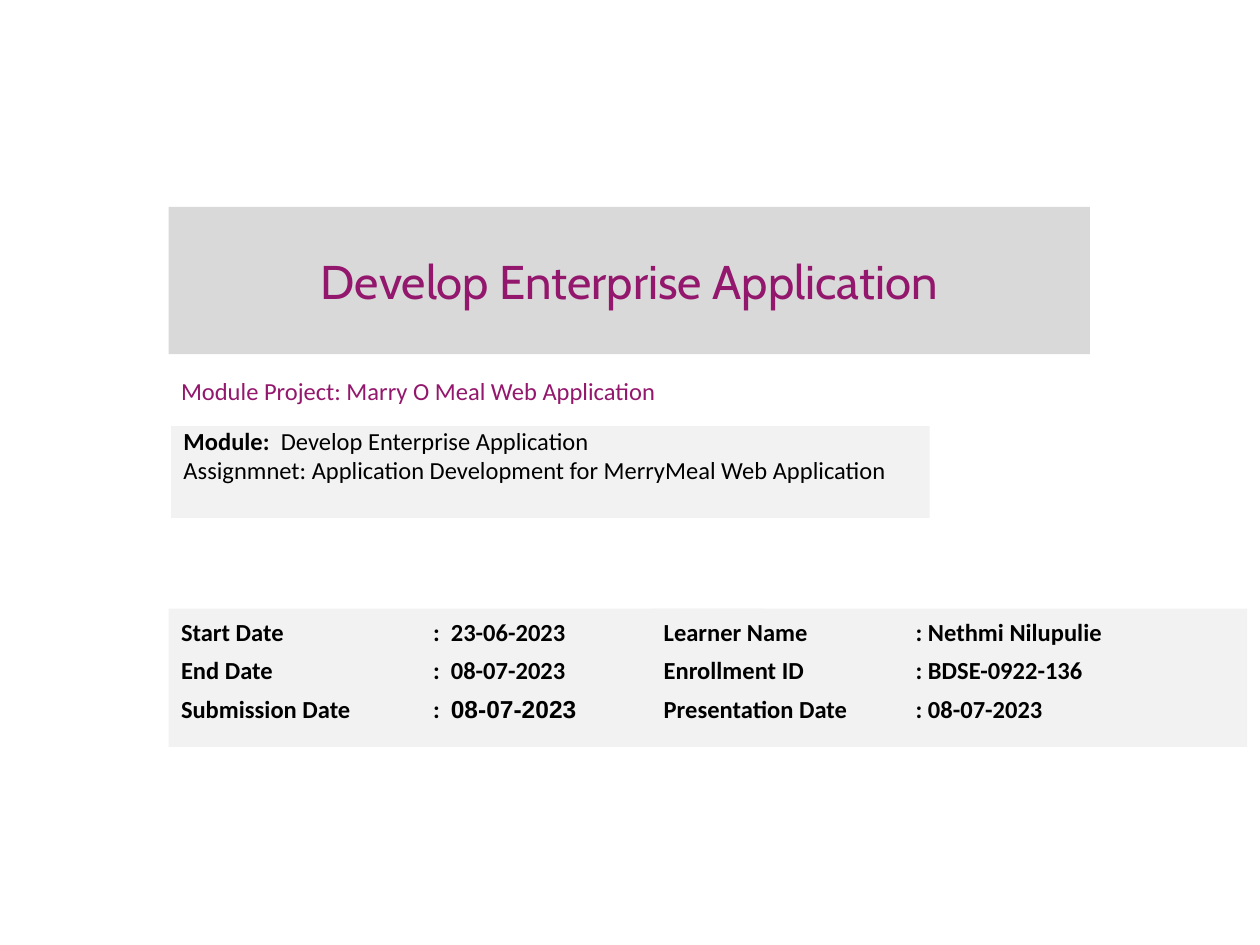
from lxml.etree import SubElement
from pptx import Presentation
from pptx.dml.color import RGBColor
from pptx.enum.shapes import MSO_SHAPE as SHAPE
from pptx.enum.text import MSO_ANCHOR as ANCHOR, PP_ALIGN as ALIGN
from pptx.oxml.ns import qn
from pptx.util import Cm, Pt

PURPLE, BLACK, BAND, PANEL = "93176C", "000000", "D9D9D9", "F2F2F2"
TITLE = "Develop Enterprise Application"
PROJECT = "Module Project: Marry O Meal Web Application"
MODULE = [
    [("Module: ", True, "Calibri"), (" Develop Enterprise Application", False, "Calibri")],
    [("Assignmnet: Application Development for MerryMeal Web Application", False, "Calibri")],
]
DATES = [
    [("Start Date\t:\t23-06-2023", True, "Calibri")],
    [("End Date\t:\t08-07-2023", True, "Calibri")],
    [("Submission Date\t:\t", True, "Calibri"), ("08-07-2023", True, "Arial")],
]
LEARNER = [
    [("Learner Name\t: Nethmi Nilupulie", True, "Calibri")],
    [("Enrollment ID\t: BDSE-0922-136", True, "Calibri")],
    [("Presentation Date\t: 08-07-2023", True, "Calibri")],
]
LEFT = 3.4
PANELS = [
    (MODULE, (3.45, 8.59, 15.29, 1.85), 13.5, 1.5, ()),
    (DATES, (LEFT, 12.27, 12.01, 2.79), 18, 2, (5.08, 5.44)),
    (LEARNER, (13.13, 12.27, 12.01, 2.79), 18, 2, (5.08,)),
]


def rgb(code):
    return RGBColor.from_string(code)


def fill(shape, code):
    shape.fill.solid()
    shape.fill.fore_color.rgb = rgb(code)
    shape.line.fill.background()


def style(font, size, name, color):
    font.size, font.name = Pt(size), name
    font.color.rgb = rgb(color)


def place(shape, *box):
    shape.left, shape.top, shape.width, shape.height = map(Cm, box)


def add_tabs(p, stops):
    tabs = SubElement(p._p.get_or_add_pPr(), qn("a:tabLst"))
    for stop in stops:
        SubElement(tabs, qn("a:tab"), pos=str(Cm(stop)), algn="l")


def add_panel(s, lines, box, leading, gap, stops):
    sp = s.shapes.add_shape(SHAPE.RECTANGLE, *map(Cm, box))
    sp.shadow.inherit = False
    fill(sp, PANEL)
    tf = sp.text_frame
    tf.word_wrap = True
    tf.vertical_anchor = ANCHOR.TOP
    for i, line in enumerate(lines):
        p = tf.add_paragraph() if i else tf.paragraphs[0]
        if stops:
            add_tabs(p, stops)
        p.alignment = ALIGN.LEFT
        p.line_spacing = Pt(leading)
        p.space_before = Pt(gap if i else 0)
        p.space_after = Pt(gap)
        for text, bold, name in line:
            r = p.add_run()
            r.text = text
            r.font.bold = bold
            style(r.font, 14, name, BLACK)


def main():
    prs = Presentation()
    prs.slide_width, prs.slide_height = Cm(25.4), Cm(19.05)
    s = prs.slides.add_slide(prs.slide_layouts[5])

    title = s.shapes.title
    place(title, LEFT, 4.17, 18.57, 2.97)
    fill(title, BAND)
    tf = title.text_frame
    tf.text = TITLE
    tf.vertical_anchor = ANCHOR.MIDDLE
    tf.margin_left = tf.margin_right = Cm(0.15)
    tf.margin_top = tf.margin_bottom = Cm(0.08)
    tf.paragraphs[0].alignment = ALIGN.CENTER
    style(tf.paragraphs[0].font, 27, "Cabin", PURPLE)

    sp = s.shapes.add_textbox(*map(Cm, (LEFT, 7.29, 12.22, 1.19)))
    tf = sp.text_frame
    tf.word_wrap = True
    tf.vertical_anchor = ANCHOR.MIDDLE
    tf.text = PROJECT
    style(tf.paragraphs[0].font, 14, "Calibri", PURPLE)

    for panel in PANELS:
        add_panel(s, *panel)
    prs.save("out.pptx")


if __name__ == "__main__":
    main()
